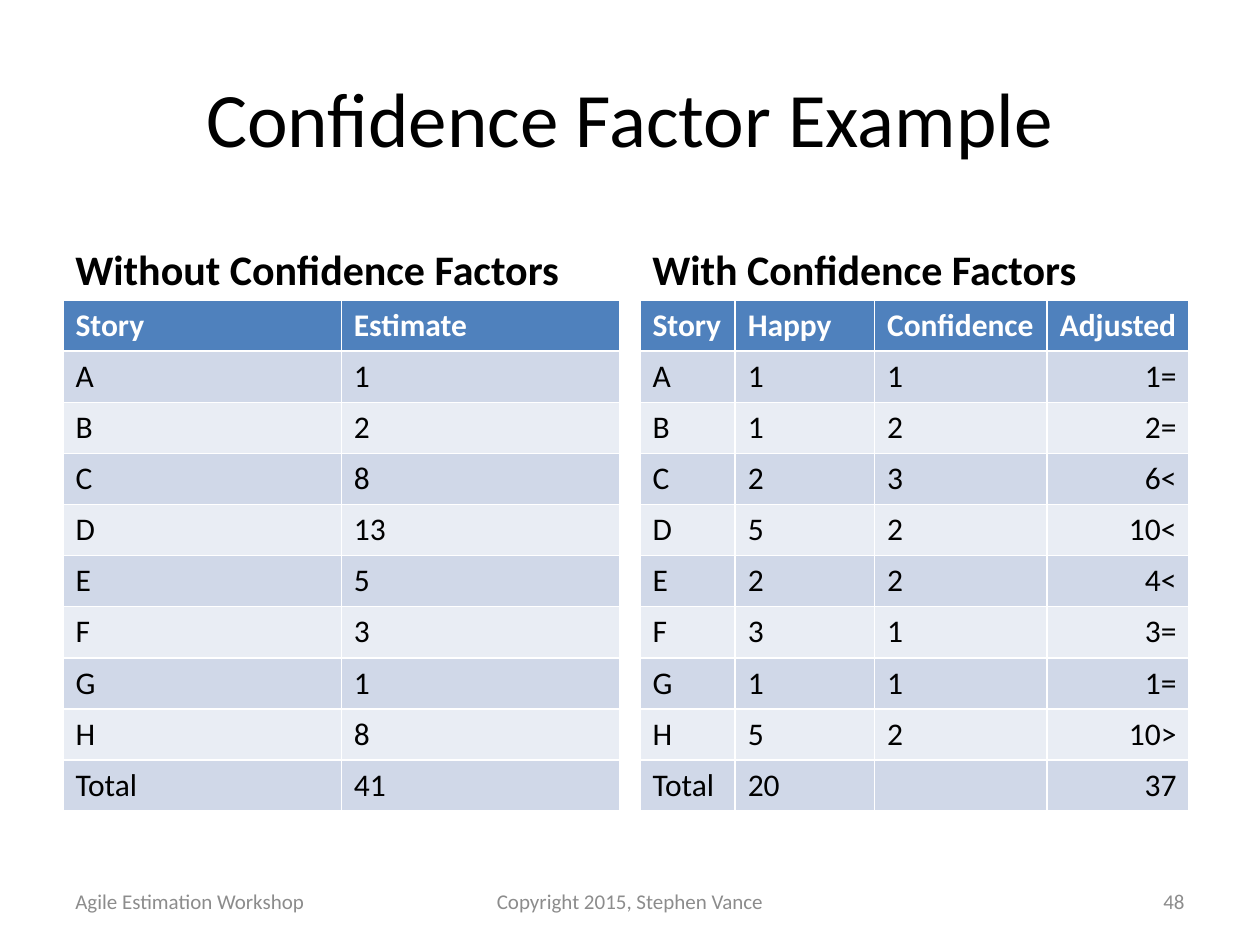
from collections import namedtuple

from pptx import Presentation
from pptx.dml.color import RGBColor
from pptx.enum.text import MSO_ANCHOR, PP_ALIGN
from pptx.util import Cm, Pt

Box = namedtuple("Box", "left top width height")

COLORS = {
    "text": "000000",
    "header_text": "FFFFFF",
    "footer": "8C8C8C",
    "header": "4F81BD",
    "odd_row": "D0D8E8",
    "even_row": "E9EDF4",
}
HEADING_HEIGHT = 1.78
ROW_HEIGHT = 1.03

STORIES = "ABCDEFGH"
ESTIMATES = [1, 2, 8, 13, 5, 3, 1, 8]
HAPPY = [1, 1, 2, 5, 2, 3, 1, 5]
CONFIDENCE = [1, 2, 3, 2, 2, 1, 1, 2]
ADJUSTED = ["1=", "2=", "6<", "10<", "4<", "3=", "1=", "10>"]

PLAIN_ROWS = [("Story", "Estimate"), *zip(STORIES, ESTIMATES), ("Total", sum(ESTIMATES))]
FACTOR_ROWS = [
    ("Story", "Happy", "Confidence", "Adjusted"),
    *zip(STORIES, HAPPY, CONFIDENCE, ADJUSTED),
    ("Total", sum(HAPPY), "", 37),
]


def style_paragraph(para, size, color, bold=False, align=PP_ALIGN.LEFT):
    """Set the font and alignment of one paragraph."""
    para.alignment = align
    para.font.name = "Calibri"
    para.font.size = Pt(size)
    para.font.bold = bold
    para.font.color.rgb = RGBColor.from_string(COLORS[color])


def add_text(page, box, text, size, color="text", bold=False,
             align=PP_ALIGN.LEFT, anchor=MSO_ANCHOR.MIDDLE):
    """Add a wrapped text box with one paragraph."""
    frame = page.shapes.add_textbox(*map(Cm, box)).text_frame
    frame.word_wrap = True
    frame.vertical_anchor = anchor
    para = frame.paragraphs[0]
    para.text = text
    style_paragraph(para, size, color, bold, align)


def add_story_table(page, box, heading, rows, column_widths, right_column=None):
    """Add a heading with a banded story table directly below it."""
    add_text(page, box._replace(height=HEADING_HEIGHT), heading, 24,
             bold=True, anchor=MSO_ANCHOR.BOTTOM)
    table = page.shapes.add_table(
        len(rows), len(column_widths),
        Cm(box.left), Cm(box.top + HEADING_HEIGHT),
        Cm(sum(column_widths)), Cm(ROW_HEIGHT * len(rows))).table
    for column, width in zip(table.columns, column_widths):
        column.width = Cm(width)
    for row_index, values in enumerate(rows):
        is_header = row_index == 0
        band = "header" if is_header else "odd_row" if row_index % 2 else "even_row"
        for column_index, value in enumerate(values):
            cell = table.cell(row_index, column_index)
            cell.fill.solid()
            cell.fill.fore_color.rgb = RGBColor.from_string(COLORS[band])
            cell.text = str(value)
            to_right = column_index == right_column and not is_header
            style_paragraph(cell.text_frame.paragraphs[0], 18,
                            "header_text" if is_header else "text", is_header,
                            PP_ALIGN.RIGHT if to_right else PP_ALIGN.LEFT)


def add_footer(page, box):
    """Add the workshop name, copyright line and page number."""
    side, middle = 5.93, 8.05
    parts = [
        ("Agile Estimation Workshop", 0, side, PP_ALIGN.LEFT),
        ("Copyright 2015, Stephen Vance", (box.width - middle) / 2, middle, PP_ALIGN.CENTER),
        ("48", box.width - side, side, PP_ALIGN.RIGHT),
    ]
    for text, offset, width, align in parts:
        add_text(page, box._replace(left=box.left + offset, width=width),
                 text, 12, "footer", align=align)


def main():
    """Build the slide and save it."""
    deck = Presentation()
    deck.slide_width, deck.slide_height = Cm(25.4), Cm(19.05)
    page = deck.slides.add_slide(deck.slide_layouts[6])
    add_text(page, Box(1.27, 0.76, 22.86, 3.18), "Confidence Factor Example", 44,
             align=PP_ALIGN.CENTER)
    add_story_table(page, Box(1.27, 4.27, 11.22, 12.08), "Without Confidence Factors",
                    PLAIN_ROWS, [5.61, 5.61])
    add_story_table(page, Box(12.9, 4.27, 11.23, 12.08), "With Confidence Factors",
                    FACTOR_ROWS, [1.92, 2.81, 3.48, 2.86], right_column=3)
    add_footer(page, Box(1.27, 17.65, 22.86, 1.02))
    deck.save("out.pptx")


if __name__ == "__main__":
    main()
